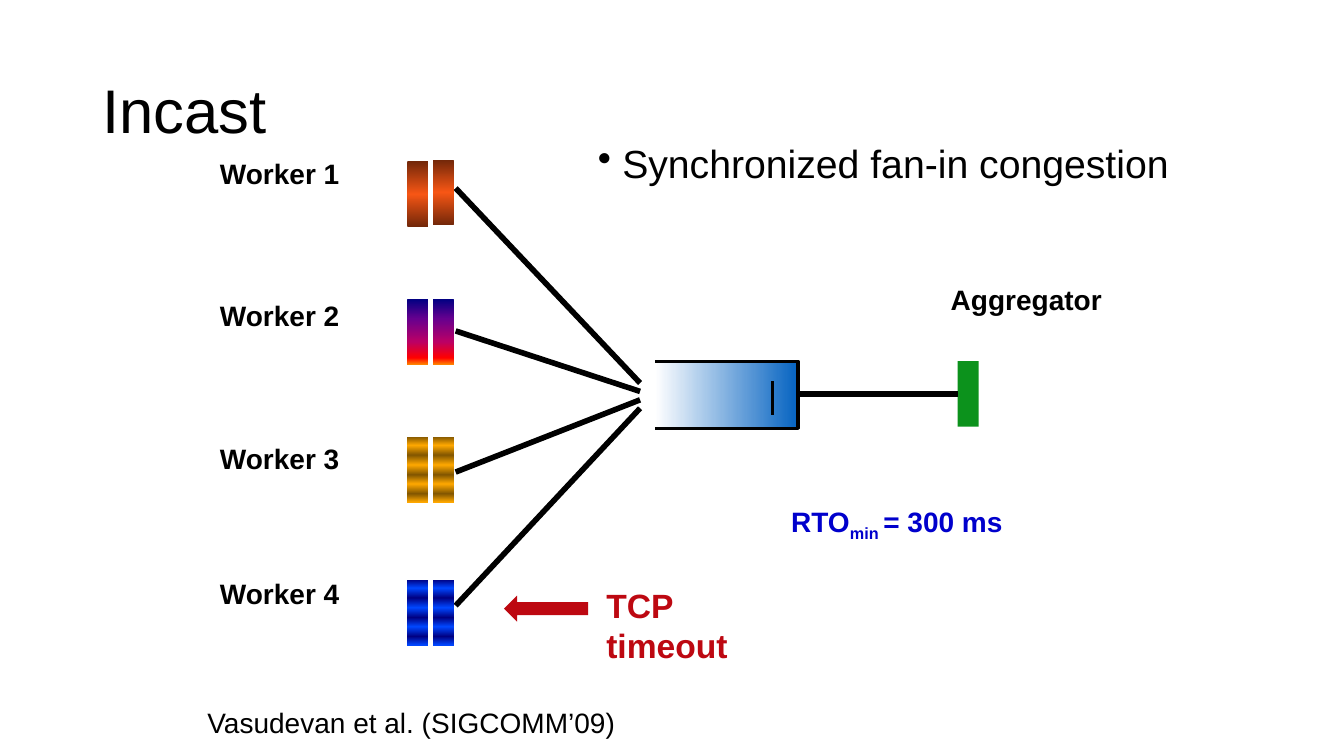
from dataclasses import dataclass

from lxml import etree
from pptx import Presentation
from pptx.dml.color import RGBColor
from pptx.enum.shapes import MSO_CONNECTOR, MSO_SHAPE
from pptx.enum.text import MSO_ANCHOR, PP_ALIGN
from pptx.oxml.ns import qn
from pptx.util import Emu, Pt

STRAIGHT = MSO_CONNECTOR.STRAIGHT
RECTANGLE = MSO_SHAPE.RECTANGLE
LEFT_ARROW = MSO_SHAPE.LEFT_ARROW
LEFT = PP_ALIGN.LEFT
TOP, MIDDLE = MSO_ANCHOR.TOP, MSO_ANCHOR.MIDDLE

BLACK = RGBColor(0x00, 0x00, 0x00)
WHITE = RGBColor(0xFF, 0xFF, 0xFF)
QUEUE_BLUE = RGBColor(0x05, 0x63, 0xC1)
TEXT_BLUE = RGBColor(0x00, 0x00, 0xCC)
RED = RGBColor(0xBD, 0x08, 0x11)
GREEN = RGBColor(0x0C, 0x92, 0x1C)
BROWN = RGBColor(0x72, 0x27, 0x09)
ORANGE = RGBColor(0xF7, 0x56, 0x15)
NAVY = RGBColor(0x00, 0x00, 0x82)
PURPLE = RGBColor(0x66, 0x00, 0x8F)
MAGENTA = RGBColor(0xBA, 0x00, 0x66)
PURE_RED = RGBColor(0xFF, 0x00, 0x00)
AMBER = RGBColor(0xFF, 0x82, 0x00)
BRONZE = RGBColor(0x82, 0x56, 0x00)
GOLD = RGBColor(0xFF, 0xA8, 0x00)
BRIGHT_BLUE = RGBColor(0x00, 0x47, 0xFF)

# The slide is a grid of 160 columns by 90 rows of square cells
CELL = 76200
COLUMNS, ROWS = 160, 90
FONT = "Arial"

Stops = list[tuple[int, RGBColor]]


def bands(dark: RGBColor, light: RGBColor) -> Stops:
    positions = (0, 13, 28, 43, 58, 72, 87, 100)
    return [(position, (dark, light)[index % 2])
            for index, position in enumerate(positions)]


@dataclass
class Box:
    column: float
    row: float
    columns: float
    rows: float

    def lengths(self) -> tuple[Emu, ...]:
        return tuple(cells(n) for n in (self.column, self.row, self.columns, self.rows))


@dataclass
class Run:
    text: str
    size: float = 20
    color: RGBColor = BLACK
    bold: bool = True
    baseline: int = 0


@dataclass
class Label:
    box: Box
    runs: list[Run]
    bullet: bool = False


@dataclass
class Worker:
    label_row: float
    left_packet_row: float
    right_packet_row: float
    link_row: float
    stops: Stops


WORKERS = [
    Worker(18.1, 19.2, 19, 22.4, [(0, BROWN), (50, ORANGE), (100, BROWN)]),
    Worker(35, 35.6, 35.6, 39.4, [(0, NAVY), (30, PURPLE), (65, MAGENTA),
                                  (90, PURE_RED), (100, AMBER)]),
    Worker(52, 52, 52, 56.2, bands(BRONZE, GOLD)),
    Worker(68, 69, 69, 72.1, bands(NAVY, BRIGHT_BLUE)),
]
LABELS = [
    Label(Box(112, 33, 22.2, 5.3), [Run("Aggregator")]),
    Label(Box(93, 59.5, 34, 12.5), [Run("RTO", color=TEXT_BLUE),
                                    Run("min ", color=TEXT_BLUE, baseline=-25),
                                    Run("= 300 ms", color=TEXT_BLUE)]),
    Label(Box(70, 16, 73.7, 10.9),
          [Run("Synchronized fan-in congestion", 28, bold=False)], bullet=True),
    Label(Box(23.5, 83.4, 64, 5.3), [Run("Vasudevan et al. (SIGCOMM’09)", bold=False)]),
]


def cells(count: float) -> Emu:
    return Emu(round(count * CELL))


def add_run(paragraph, item: Run) -> None:
    run = paragraph.add_run()
    run.text = item.text
    run.font.name = FONT
    run.font.size = Pt(item.size)
    run.font.bold = item.bold
    run.font.color.rgb = item.color
    if item.baseline:
        run.font._element.set("baseline", str(item.baseline * 1000))


def add_label(shapes, label: Label) -> None:
    frame = shapes.add_textbox(*label.box.lengths()).text_frame
    frame.word_wrap = True
    frame.vertical_anchor = TOP
    paragraph = frame.paragraphs[0]
    if label.bullet:
        properties = paragraph._p.get_or_add_pPr()
        properties.set("marL", str(cells(2.9)))
        properties.set("indent", str(cells(-2.9)))
        etree.SubElement(properties, qn("a:buChar")).set("char", "•")
    for item in label.runs:
        add_run(paragraph, item)


def add_line(shapes, start: tuple[float, float], end: tuple[float, float], width: float):
    points = [cells(n) for n in (*start, *end)]
    line = shapes.add_connector(STRAIGHT, *points)
    line.line.color.rgb = BLACK
    line.line.width = Pt(width)
    etree.SubElement(line._element.spPr, qn("a:effectLst"))
    return line


def add_block(shapes, kind, box: Box, color: RGBColor | None = None):
    shape = shapes.add_shape(kind, *box.lengths())
    shape.shadow.inherit = False
    shape.line.fill.background()
    if color is not None:
        shape.fill.solid()
        shape.fill.fore_color.rgb = color
    return shape


def fill_gradient(shape, stops: Stops, angle: int) -> None:
    shape.fill.gradient()
    shape.fill.gradient_angle = angle
    stop_list = shape._element.spPr.find(qn("a:gradFill")).find(qn("a:gsLst"))
    for stop in list(stop_list):
        stop_list.remove(stop)
    for position, color in stops:
        stop = etree.SubElement(stop_list, qn("a:gs"), pos=str(position * 1000))
        etree.SubElement(stop, qn("a:srgbClr"), val=str(color))


def add_title(slide) -> None:
    title = slide.shapes.title
    title.left, title.top, title.width, title.height = Box(11, 4.8, 138, 17.4).lengths()
    title.text_frame.vertical_anchor = MIDDLE
    paragraph = title.text_frame.paragraphs[0]
    paragraph.alignment = LEFT
    paragraph.line_spacing = 0.9
    add_run(paragraph, Run("Incast", 44, bold=False))


def add_queue(shapes) -> None:
    builder = shapes.build_freeform(78, 43, scale=CELL)
    builder.add_line_segments([(95, 43), (95, 51), (78, 51)], close=False)
    queue = builder.convert_to_shape()
    queue.shadow.inherit = False
    fill_gradient(queue, [(0, WHITE), (100, QUEUE_BLUE)], 0)
    queue.line.color.rgb = BLACK
    queue.line.width = Pt(2.25)
    add_line(shapes, (92, 45.4), (92, 49.4), 2.25)


def add_worker(shapes, number: int, worker: Worker) -> None:
    add_line(shapes, (54.25, worker.link_row), (76.2, 44.6 + number), 4)
    for column, row in ((51.5, worker.right_packet_row), (48.5, worker.left_packet_row)):
        packet = add_block(shapes, RECTANGLE, Box(column, row, 2.5, 7.8))
        fill_gradient(packet, worker.stops, 270)
    add_label(shapes, Label(Box(25, worker.label_row, 18, 5.3), [Run(f"Worker {number}")]))


def main() -> None:
    presentation = Presentation()
    presentation.slide_width = cells(COLUMNS)
    presentation.slide_height = cells(ROWS)
    slide = presentation.slides.add_slide(presentation.slide_layouts[5])
    shapes = slide.shapes
    add_title(slide)

    # Aggregator, its link and the switch queue
    aggregator = add_block(shapes, RECTANGLE, Box(114, 43, 2.5, 7.8), GREEN)
    link = add_line(shapes, (94.8, 46.9), (114, 46.9), 4)
    link.end_connect(aggregator, 1)
    add_queue(shapes.add_group_shape().shapes)

    # Workers with their packets and links
    for number, worker in enumerate(WORKERS, start=1):
        add_worker(shapes, number, worker)

    # Timeout marker
    timeout = shapes.add_group_shape().shapes
    add_label(timeout, Label(Box(71, 69, 25, 10.9), [Run("TCP timeout", 24, RED)]))
    add_block(timeout, LEFT_ARROW, Box(60, 70.9, 10, 3.1), RED)

    # Remaining text
    for label in LABELS:
        add_label(shapes, label)
    presentation.save("out.pptx")


if __name__ == "__main__":
    main()
